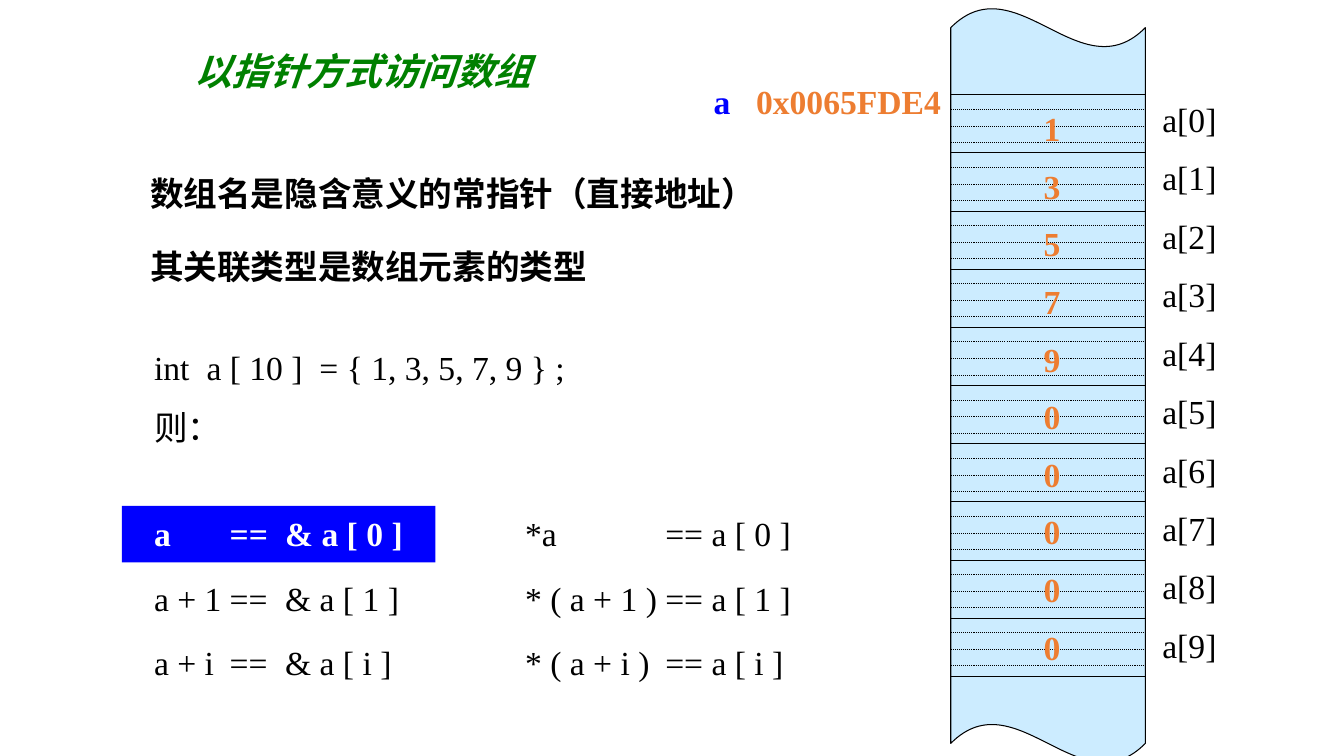
from pptx import Presentation
from pptx.dml.color import RGBColor
from pptx.enum.dml import MSO_LINE
from pptx.enum.shapes import MSO_CONNECTOR, MSO_SHAPE
from pptx.enum.text import PP_ALIGN
from pptx.oxml.ns import qn
from pptx.util import Inches, Pt
from lxml.etree import SubElement

BLUE = RGBColor(0x00, 0x00, 0xFF)
GREEN = RGBColor(0x00, 0x80, 0x00)
ORANGE = RGBColor(0xED, 0x7D, 0x31)
PALE_BLUE = RGBColor(0xCC, 0xEC, 0xFF)
BLACK = RGBColor(0x00, 0x00, 0x00)
WHITE = RGBColor(0xFF, 0xFF, 0xFF)
SERIF, SANS = "Times New Roman", "Noto Sans CJK SC"

VALUES = [1, 3, 5, 7, 9, 0, 0, 0, 0, 0]
BYTE_SHARES = (0.25, 0.54, 0.82)


def add_tabs(para, stops):
    """Set left tab stops, in inches from the start of the text."""
    tabs = SubElement(para._p.get_or_add_pPr(), qn("a:tabLst"))
    for stop in stops:
        SubElement(tabs, qn("a:tab"), pos=str(Inches(stop)), algn="l")


def add_text(page, box, lines, spacing=1.0, color=BLACK, size=24, name=SERIF,
             bold=False, italic=False, align=PP_ALIGN.LEFT, wrap=False, tabs=()):
    """Add one paragraph per line and return the paragraphs."""
    frame = page.shapes.add_textbox(*map(Inches, box)).text_frame
    frame.word_wrap = wrap
    for index, line in enumerate(lines):
        para = frame.add_paragraph() if index else frame.paragraphs[0]
        para.text = line
        para.alignment = align
        para.line_spacing = spacing
        if tabs:
            add_tabs(para, tabs)
        font = para.font
        font.name, font.size = name, Pt(size)
        font.bold, font.italic = bold, italic
        font.color.rgb = color
        SubElement(para._p.pPr.find(qn("a:defRPr")), qn("a:ea"), typeface=SANS)
    return frame.paragraphs


def add_rule(page, left, right, y, dash=MSO_LINE.SOLID):
    rule = page.shapes.add_connector(
        MSO_CONNECTOR.STRAIGHT, Inches(left), Inches(y), Inches(right), Inches(y))
    rule.line.color.rgb = BLACK
    rule.line.width = Pt(0.75)
    rule.line.dash_style = dash
    SubElement(rule._element.spPr, qn("a:effectLst"))


def add_shape(page, kind, box, fill):
    shape = page.shapes.add_shape(kind, *map(Inches, box))
    shape.shadow.inherit = False
    shape.fill.solid()
    shape.fill.fore_color.rgb = fill
    shape.line.fill.background()
    return shape


def add_explanation(page, left, top):
    add_text(page, (left + 0.44, top, 3.67, 0.55), ["以指针方式访问数组"],
             color=GREEN, size=26.7, bold=True, italic=True)
    add_text(page, (left, top + 0.92, 6.29, 1.43),
             ["数组名是隐含意义的常指针（直接地址）", "其关联类型是数组元素的类型"],
             spacing=1.8, name=SANS, bold=True)
    add_text(page, (left + 0.04, top + 2.76, 4.31, 1.31),
             ["int\ta [ 10 ]\t= { 1, 3, 5, 7, 9 } ;", "则："],
             spacing=1.5, tabs=(0.52, 1.64))


def add_equivalences(page, left, top):
    """Place address equations beside value equations, the first one marked."""
    add_shape(page, MSO_SHAPE.RECTANGLE, (left - 0.22, top + 0.22, 3.11, 0.56), BLUE)
    addresses = add_text(
        page, (left, top, 2.89, 2.04),
        ["a\t==\t& a [ 0 ]", "a + 1\t==\t& a [ 1 ]", "a + i\t==\t& a [ i ]"],
        spacing=1.6, wrap=True, tabs=(0.75, 1.3))
    addresses[0].font.bold = True
    addresses[0].font.color.rgb = WHITE
    add_text(page, (left + 3.68, top, 3.32, 2.04),
             ["*a\t== a [ 0 ]", "* ( a + 1 )\t== a [ 1 ]", "* ( a + i )\t== a [ i ]"],
             spacing=1.6, wrap=True, tabs=(1.39,))


def add_memory(page, left, top, width, height):
    """Draw the memory strip; the box given is that of the array cells."""
    right, row = left + width, height / len(VALUES)
    strip = add_shape(page, MSO_SHAPE.WAVE, (left, top - 0.86, width, 7.49), PALE_BLUE)
    strip.adjustments[0] = 0.026
    strip.line.color.rgb = BLACK
    strip.line.width = Pt(0.75)
    for index in range(len(VALUES)):
        cell_top = top + index * row
        add_rule(page, left, right, cell_top)
        for share in BYTE_SHARES:
            add_rule(page, left, right, cell_top + share * row, MSO_LINE.ROUND_DOT)
    add_rule(page, left, right, top + height)

    add_text(page, (left + 0.82, top - 0.09, 0.37, 5.88), map(str, VALUES),
             spacing=1.43, color=ORANGE, bold=True, align=PP_ALIGN.CENTER)
    add_text(page, (right + 0.07, top - 0.19, 0.89, 6.22),
             [f"a[{index}]" for index in range(len(VALUES))], spacing=1.45, wrap=True)
    pointer = add_text(page, (left - 2.45, top - 0.19, 2.45, 0.6), ["a\t"],
                       color=BLUE, bold=True, wrap=True, tabs=(0.42,))[0]
    address = pointer.add_run()
    address.text = "0x0065FDE4"
    address.font.color.rgb = ORANGE


def main():
    deck = Presentation()
    deck.slide_width, deck.slide_height = Inches(13.33), Inches(7.5)
    page = deck.slides.add_slide(deck.slide_layouts[6])
    add_explanation(page, 1.39, 0.43)
    add_equivalences(page, 1.43, 4.8)
    add_memory(page, 9.43, 0.94, 1.93, 5.77)
    deck.save("out.pptx")


if __name__ == "__main__":
    main()
